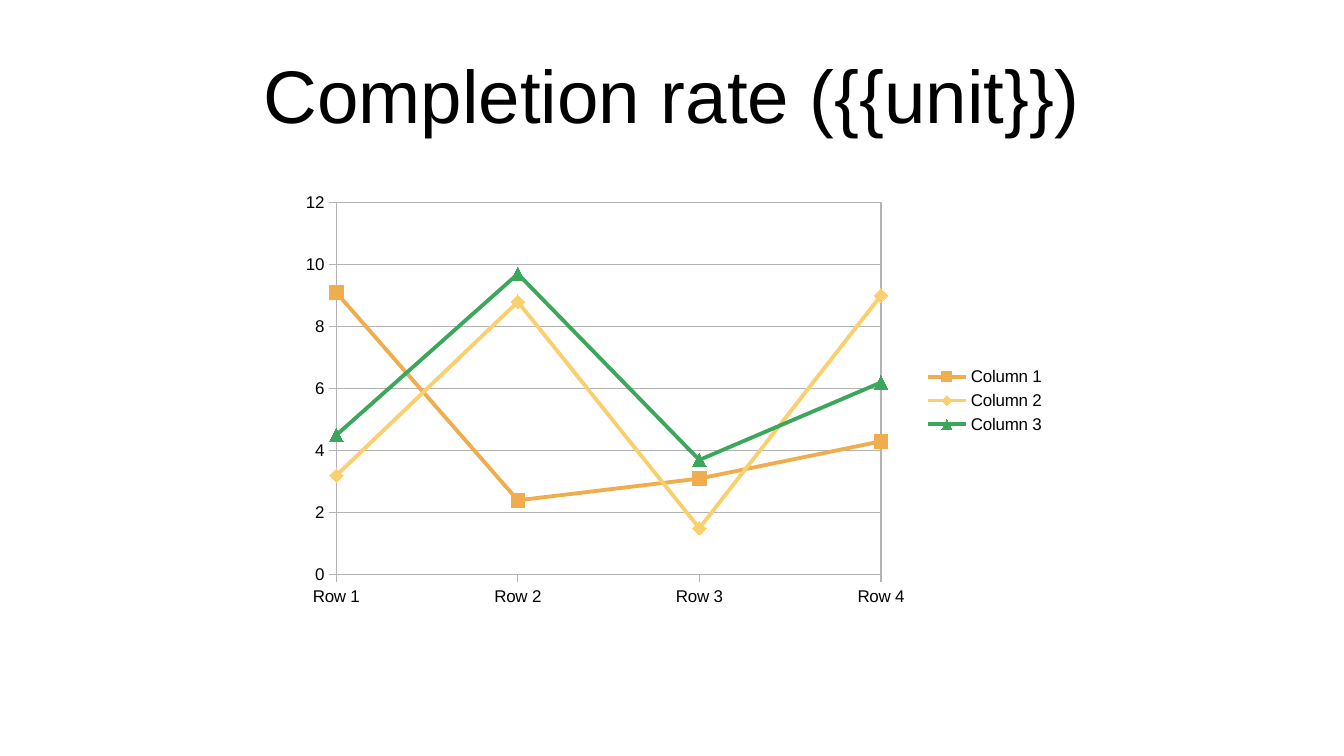
from lxml import etree
from pptx import Presentation
from pptx.chart.data import CategoryChartData
from pptx.dml.color import RGBColor
from pptx.enum.chart import XL_CHART_TYPE, XL_LEGEND_POSITION, XL_MARKER_STYLE, XL_TICK_MARK
from pptx.enum.text import MSO_ANCHOR, MSO_AUTO_SIZE, PP_ALIGN
from pptx.oxml import parse_xml
from pptx.oxml.ns import nsdecls, qn
from pptx.util import Inches, Pt

LINE_MARKERS = XL_CHART_TYPE.LINE_MARKERS
RIGHT = XL_LEGEND_POSITION.RIGHT
OUTSIDE = XL_TICK_MARK.OUTSIDE
SQUARE = XL_MARKER_STYLE.SQUARE
DIAMOND = XL_MARKER_STYLE.DIAMOND
TRIANGLE = XL_MARKER_STYLE.TRIANGLE
MIDDLE = MSO_ANCHOR.MIDDLE
GROW = MSO_AUTO_SIZE.SHAPE_TO_FIT_TEXT
CENTER = PP_ALIGN.CENTER

TITLE_ONLY = 5
COLORS = {
    "text": "000000",
    "grid": "B3B3B3",
    "orange": "F0AD4E",
    "yellow": "FACF6F",
    "green": "3CA65B",
}
CATEGORIES = ["Row 1", "Row 2", "Row 3", "Row 4"]
SERIES = [
    ("Column 1", [9.1, 2.4, 3.1, 4.3], "orange", SQUARE),
    ("Column 2", [3.2, 8.8, 1.5, 9], "yellow", DIAMOND),
    ("Column 3", [4.5, 9.7, 3.7, 6.2], "green", TRIANGLE),
]
PLOT_LAYOUT = {"x": 0.06, "y": 0.04, "w": 0.71, "h": 0.865}


def set_all(target, values):
    for name, value in values.items():
        setattr(target, name, value)


class SlideBuilder:
    font_name = "Arial"

    def __init__(self, slide):
        self.slide = slide

    def color(self, name):
        return RGBColor.from_string(COLORS[name])

    def style_font(self, font, size):
        set_all(font, {"name": self.font_name, "size": Pt(size)})
        font.color.rgb = self.color("text")

    def style_line(self, line, color, width):
        line.color.rgb = self.color(color)
        line.width = Pt(width)

    def add_title(self, text, left, top, width, height):
        title = self.slide.shapes.title
        set_all(title, {
            "left": Inches(left), "top": Inches(top),
            "width": Inches(width), "height": Inches(height),
        })
        frame = title.text_frame
        set_all(frame, {
            "text": text, "word_wrap": True, "auto_size": GROW,
            "vertical_anchor": MIDDLE, "margin_left": 0, "margin_top": 0,
            "margin_right": 0, "margin_bottom": 0,
        })
        para = frame.paragraphs[0]
        para.alignment = CENTER
        self.style_font(para.runs[0].font, 44)

    def add_line_chart(self, left, top, width, height):
        data = CategoryChartData()
        data.categories = CATEGORIES
        for name, values, color, marker in SERIES:
            data.add_series(name, values)
        chart = self.slide.shapes.add_chart(
            LINE_MARKERS, Inches(left), Inches(top), Inches(width), Inches(height), data
        ).chart
        set_all(chart, {"has_title": False, "has_legend": True})
        self.style_font(chart.font, 10)
        set_all(chart.legend, {"position": RIGHT, "include_in_layout": False})
        self.style_font(chart.legend.font, 10)
        chart.plots[0].vary_by_categories = False
        self.style_axes(chart)
        self.style_series(chart)
        self.style_plot_area(chart)

    def style_axes(self, chart):
        for axis in (chart.category_axis, chart.value_axis):
            axis.major_tick_mark = OUTSIDE
            self.style_line(axis.format.line, "grid", 0.75)
            self.style_font(axis.tick_labels.font, 10)
        axis = chart.value_axis
        set_all(axis, {
            "minimum_scale": 0, "maximum_scale": 12,
            "major_unit": 2, "has_major_gridlines": True,
        })
        self.style_line(axis.major_gridlines.format.line, "grid", 0.75)

    def style_series(self, chart):
        for series, (name, values, color, marker) in zip(chart.plots[0].series, SERIES):
            series.smooth = False
            self.style_line(series.format.line, color, 2.27)
            set_all(series.marker, {"style": marker, "size": 8})
            look = series.marker.format
            look.fill.solid()
            look.fill.fore_color.rgb = self.color(color)
            look.line.fill.background()

    def style_plot_area(self, chart):
        plot_area = chart.element.find(".//" + qn("c:plotArea"))
        for layout in plot_area.findall(qn("c:layout")):
            plot_area.remove(layout)
        layout = parse_xml(f"<c:layout {nsdecls('c')}><c:manualLayout/></c:layout>")
        settings = {"layoutTarget": "inner", "xMode": "edge", "yMode": "edge", **PLOT_LAYOUT}
        for name, value in settings.items():
            etree.SubElement(layout[0], qn("c:" + name), val=str(value))
        plot_area.insert(0, layout)
        plot_area.append(parse_xml(
            f"<c:spPr {nsdecls('c', 'a')}><a:noFill/><a:ln w=\"{Pt(0.75)}\"><a:solidFill>"
            f"<a:srgbClr val=\"{COLORS['grid']}\"/></a:solidFill></a:ln></c:spPr>"
        ))
        value_axis = plot_area.find(qn("c:valAx"))
        for crossing in value_axis.findall(qn("c:crossBetween")):
            value_axis.remove(crossing)
        value_axis.find(qn("c:crosses")).addnext(
            parse_xml(f"<c:crossBetween {nsdecls('c')} val=\"midCat\"/>")
        )


def main():
    deck = Presentation()
    set_all(deck, {"slide_width": Inches(11.02), "slide_height": Inches(6.2)})
    page = SlideBuilder(deck.slides.add_slide(deck.slide_layouts[TITLE_ONLY]))
    page.add_title("Completion rate ({{unit}})", 0.55, 0.4, 9.92, 0.73)
    page.add_line_chart(2.38, 1.52, 6.29, 3.53)
    deck.save("out.pptx")


if __name__ == "__main__":
    main()
